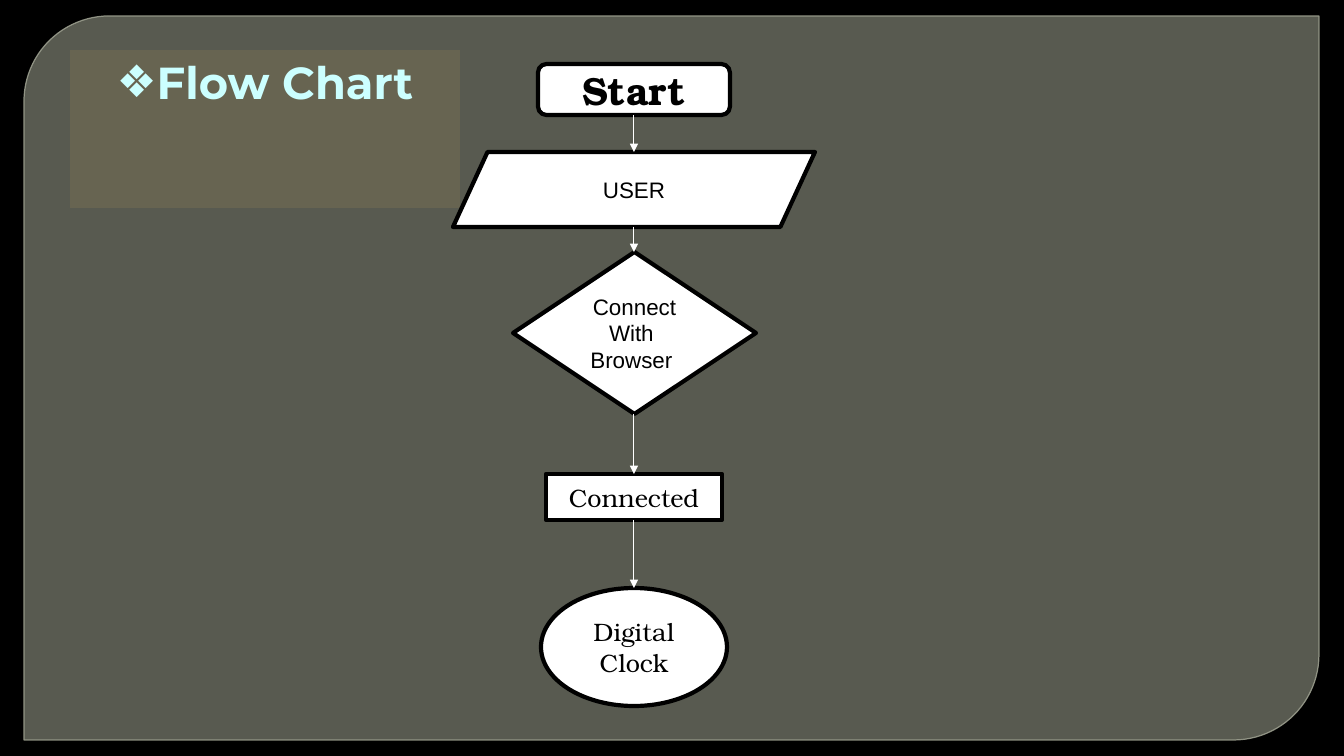
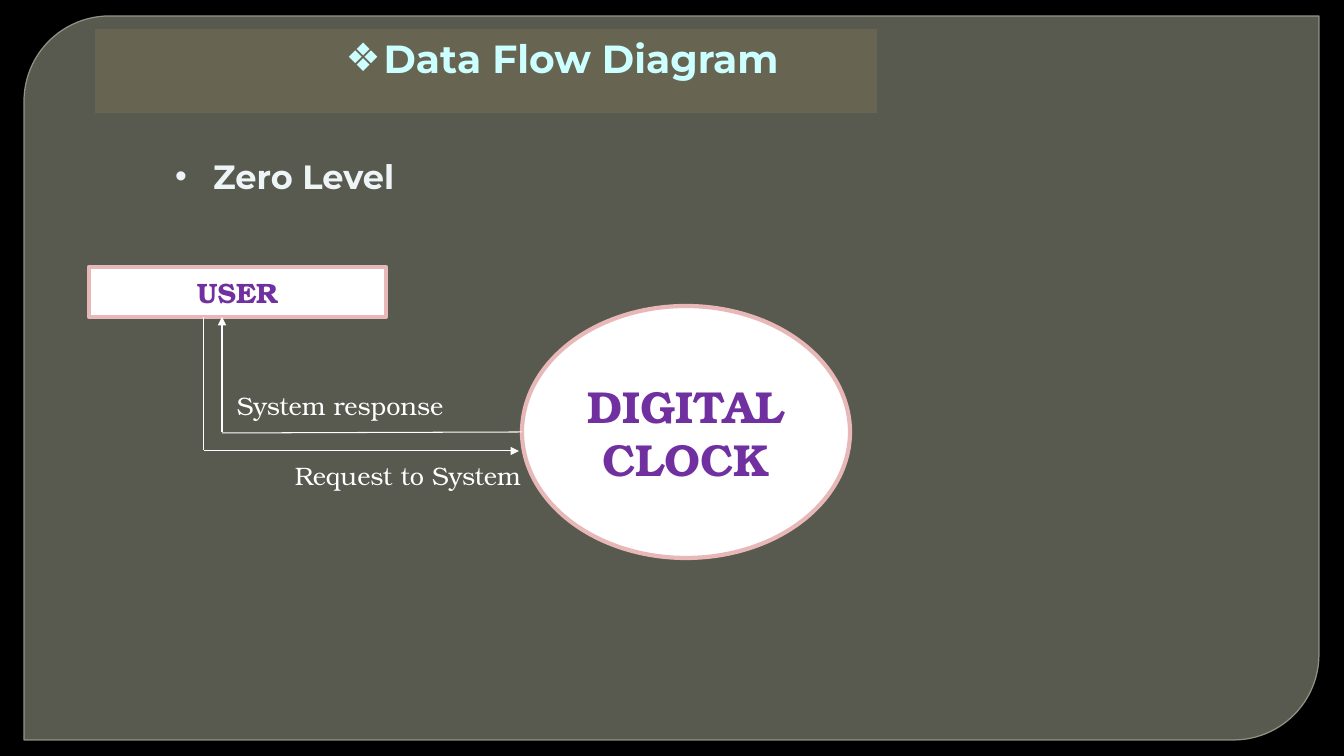
from dataclasses import dataclass
from itertools import pairwise

from lxml import etree
from pptx import Presentation
from pptx import util as u
from pptx.dml.color import RGBColor
from pptx.enum import shapes, text
from pptx.oxml.ns import qn

SCALE = 914400 / 100.8  # EMU per pixel
BLACK, WHITE, PINK, PURPLE = "000000", "FFFFFF", "E8B7B7", "7030A0"
PANEL, PANEL_EDGE = "888B7B", "9DA090"
TITLE_BAND, TITLE_TEXT, BODY_TEXT = "676451", "CCFFFF", "EEF5F7"
SANS, SERIF, HEAD = "Arial", "TeX Gyre Bonum", "Montserrat"
SHAPE = shapes.MSO_SHAPE
ALIGN = text.PP_ALIGN


@dataclass(frozen=True)
class Box:
    x: int
    y: int
    w: int
    h: int


@dataclass(frozen=True)
class Look:
    size: int
    font: str
    color: str = BLACK
    bold: bool = False
    align: ALIGN = ALIGN.CENTER


@dataclass(frozen=True)
class Node:
    kind: SHAPE
    box: Box
    label: str
    look: Look
    edge: str = BLACK
    adj: float | None = None


@dataclass(frozen=True)
class Link:
    x1: int
    y1: int
    x2: int
    y2: int
    arrow: bool = True


def px(n: float) -> int:
    return round(n * SCALE)


def rgb(value: str) -> RGBColor:
    return RGBColor.from_string(value)


def emu(box: Box) -> tuple[int, ...]:
    return px(box.x), px(box.y), px(box.w), px(box.h)


def place(sp, box: Box) -> None:
    sp.left, sp.top, sp.width, sp.height = emu(box)


def paint(sp, fill: str, edge: str, width: float) -> None:
    sp.shadow.inherit = False
    sp.fill.solid()
    sp.fill.fore_color.rgb = rgb(fill)
    sp.line.color.rgb = rgb(edge)
    sp.line.width = u.Pt(width)


def write(tf, label: str, look: Look) -> None:
    tf.word_wrap = True
    tf.text = label
    for p in tf.paragraphs:
        p.alignment = look.align
        p.space_before = u.Pt(0)
        for r in p.runs:
            r.font.size, r.font.bold = u.Pt(look.size), look.bold
            r.font.name, r.font.color.rgb = look.font, rgb(look.color)


def set_bullet(p, char: str, indent: int, hang: int = 38) -> None:
    pPr = p._p.get_or_add_pPr()
    pPr.set("marL", str(px(indent)))
    pPr.set("indent", str(-px(hang)))
    etree.SubElement(pPr, qn("a:buFont")).set("typeface", SANS)
    etree.SubElement(pPr, qn("a:buChar")).set("char", char)


def fill_placeholder(sp, box: Box, label: str, look: Look, char: str, indent: int) -> None:
    place(sp, box)
    tf = sp.text_frame
    write(tf, label, look)
    tf.vertical_anchor = text.MSO_ANCHOR.TOP
    tf.auto_size = text.MSO_AUTO_SIZE.SHAPE_TO_FIT_TEXT
    set_bullet(tf.paragraphs[0], char, indent)


def add_title(s, box: Box, label: str, size: int, indent: int) -> None:
    sp = s.shapes.title
    fill_placeholder(sp, box, label, Look(size, HEAD, TITLE_TEXT, True), "❖", indent)
    sp.fill.solid()
    sp.fill.fore_color.rgb = rgb(TITLE_BAND)


def add_node(s, node: Node) -> None:
    sp = s.shapes.add_shape(node.kind, *emu(node.box))
    paint(sp, WHITE, node.edge, 3)
    if node.adj is not None:
        sp.adjustments[0] = node.adj
    write(sp.text_frame, node.label, node.look)
    sp.text_frame.vertical_anchor = text.MSO_ANCHOR.MIDDLE


def add_link(s, link: Link) -> None:
    cx = s.shapes.add_connector(shapes.MSO_CONNECTOR.STRAIGHT, px(link.x1),
                                px(link.y1), px(link.x2), px(link.y2))
    cx.line.color.rgb = rgb(WHITE)
    cx.line.width = u.Pt(0.75)
    if link.arrow:
        etree.SubElement(cx.line._get_or_add_ln(), qn("a:tailEnd")).set("type", "triangle")
    etree.SubElement(cx._element.spPr, qn("a:effectLst"))


def add_caption(s, box: Box, label: str) -> None:
    tf = s.shapes.add_textbox(*emu(box)).text_frame
    write(tf, label, Look(18, SERIF, WHITE, align=ALIGN.LEFT))
    tf.auto_size = text.MSO_AUTO_SIZE.SHAPE_TO_FIT_TEXT


def set_master(prs, s) -> None:
    """Give the master its black background and rounded panel."""
    master = prs.slide_master
    master.background.fill.solid()
    master.background.fill.fore_color.rgb = rgb(BLACK)
    panel = s.shapes.add_shape(SHAPE.ROUND_2_DIAG_RECTANGLE, *emu(Box(24, 16, 1295, 724)))
    paint(panel, PANEL, PANEL_EDGE, 0.87)
    panel.adjustments[0], panel.adjustments[1] = 0.118, 0
    tones = panel._element.spPr.iter(qn("a:srgbClr"))
    for tone, alpha in zip(tones, (65000, 88000)):
        etree.SubElement(tone, qn("a:alpha")).set("val", str(alpha))
    master.shapes.element.insert(2, panel._element)


def build_flow_chart(s) -> None:
    add_title(s, Box(70, 50, 390, 65), "Flow Chart", 32, 38)
    axis = 634
    plain, serif = Look(16, SANS), Look(18, SERIF)

    def step(kind: SHAPE, y: int, w: int, h: int, label: str, look: Look,
             adj: float | None = None) -> Node:
        return Node(kind, Box(axis - w // 2, y, w, h), label, look, adj=adj)

    steps = [
        step(SHAPE.ROUNDED_RECTANGLE, 64, 192, 51, "Start", Look(28, SERIF, bold=True)),
        step(SHAPE.PARALLELOGRAM, 152, 362, 75, "USER", plain, 0.461),
        step(SHAPE.DIAMOND, 252, 243, 162, "Connect\nWith \nBrowser ", plain),
        step(SHAPE.RECTANGLE, 474, 176, 46, "Connected", serif),
        step(SHAPE.OVAL, 588, 186, 118, "Digital\nClock", serif),
    ]
    for node in steps:
        add_node(s, node)
    # Arrows between neighbouring steps
    for upper, lower in pairwise(steps):
        add_link(s, Link(axis, upper.box.y + upper.box.h, axis, lower.box.y))


def build_data_flow(s) -> None:
    add_title(s, Box(95, 29, 782, 57), "Data Flow Diagram", 28, 190)
    fill_placeholder(s.placeholders[1], Box(165, 151, 554, 50), "Zero Level",
                     Look(24, HEAD, BODY_TEXT, True, ALIGN.LEFT), "•", 38)

    # Entity and process
    for node in (
        Node(SHAPE.OVAL, Box(522, 306, 328, 252), "DIGITAL CLOCK",
             Look(32, SERIF, PURPLE, True), PINK),
        Node(SHAPE.RECTANGLE, Box(89, 267, 297, 50), "USER",
             Look(20, SERIF, PURPLE, True), PINK),
    ):
        add_node(s, node)

    # Request runs down and right, response runs left and up
    for link in (
        Link(204, 317, 204, 450, arrow=False),
        Link(204, 451, 519, 451),
        Link(222, 433, 522, 432, arrow=False),
        Link(222, 432, 222, 317),
    ):
        add_link(s, link)
    add_caption(s, Box(285, 455, 316, 40), "Request to System")
    add_caption(s, Box(227, 385, 331, 40), "System response")


def main() -> None:
    prs = Presentation()
    prs.slide_width, prs.slide_height = px(1344), px(756)
    title_only, title_and_body = prs.slide_layouts[5], prs.slide_layouts[1]
    flow_chart = prs.slides.add_slide(title_only)
    set_master(prs, flow_chart)
    build_flow_chart(flow_chart)
    build_data_flow(prs.slides.add_slide(title_and_body))
    prs.save("out.pptx")


main()
